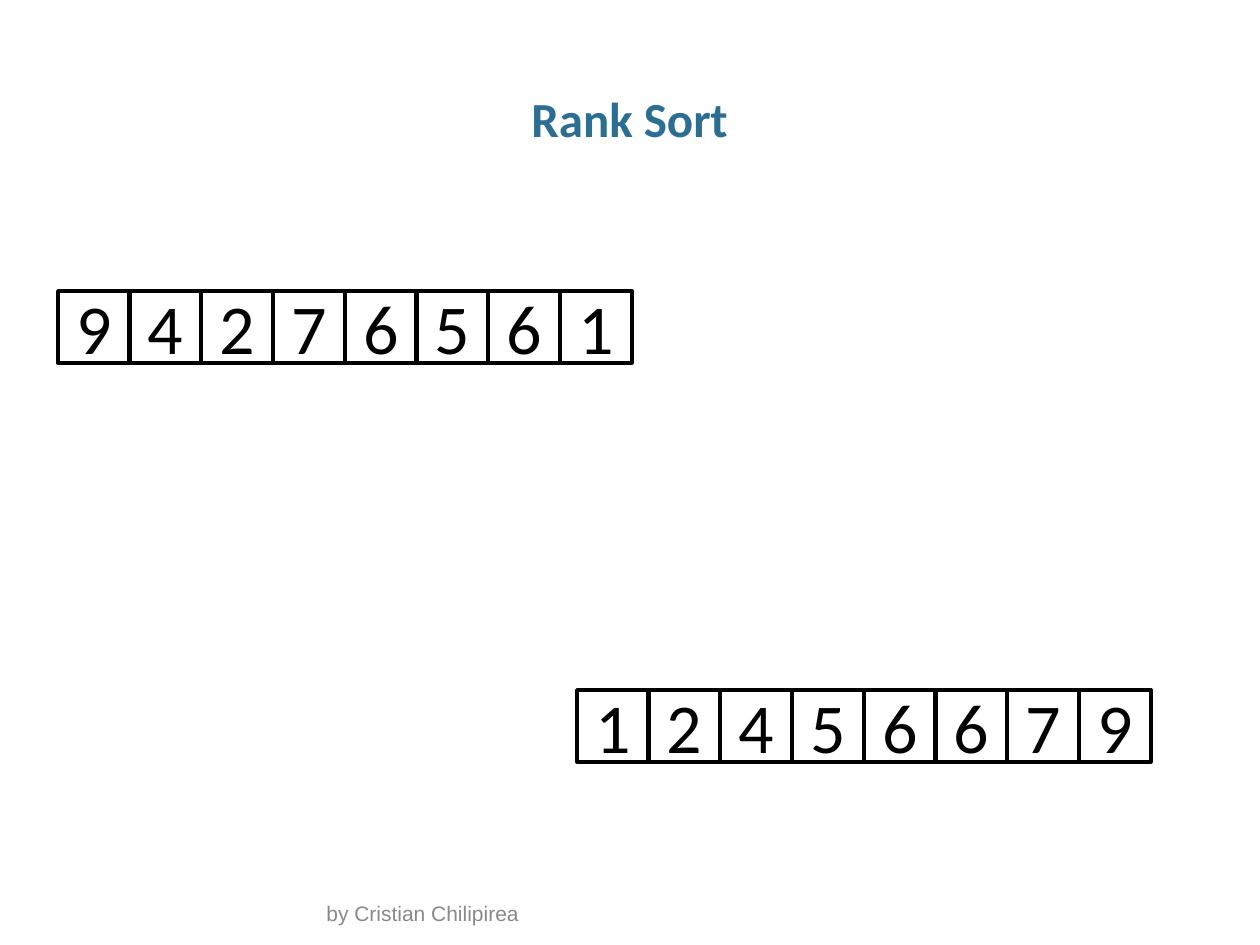
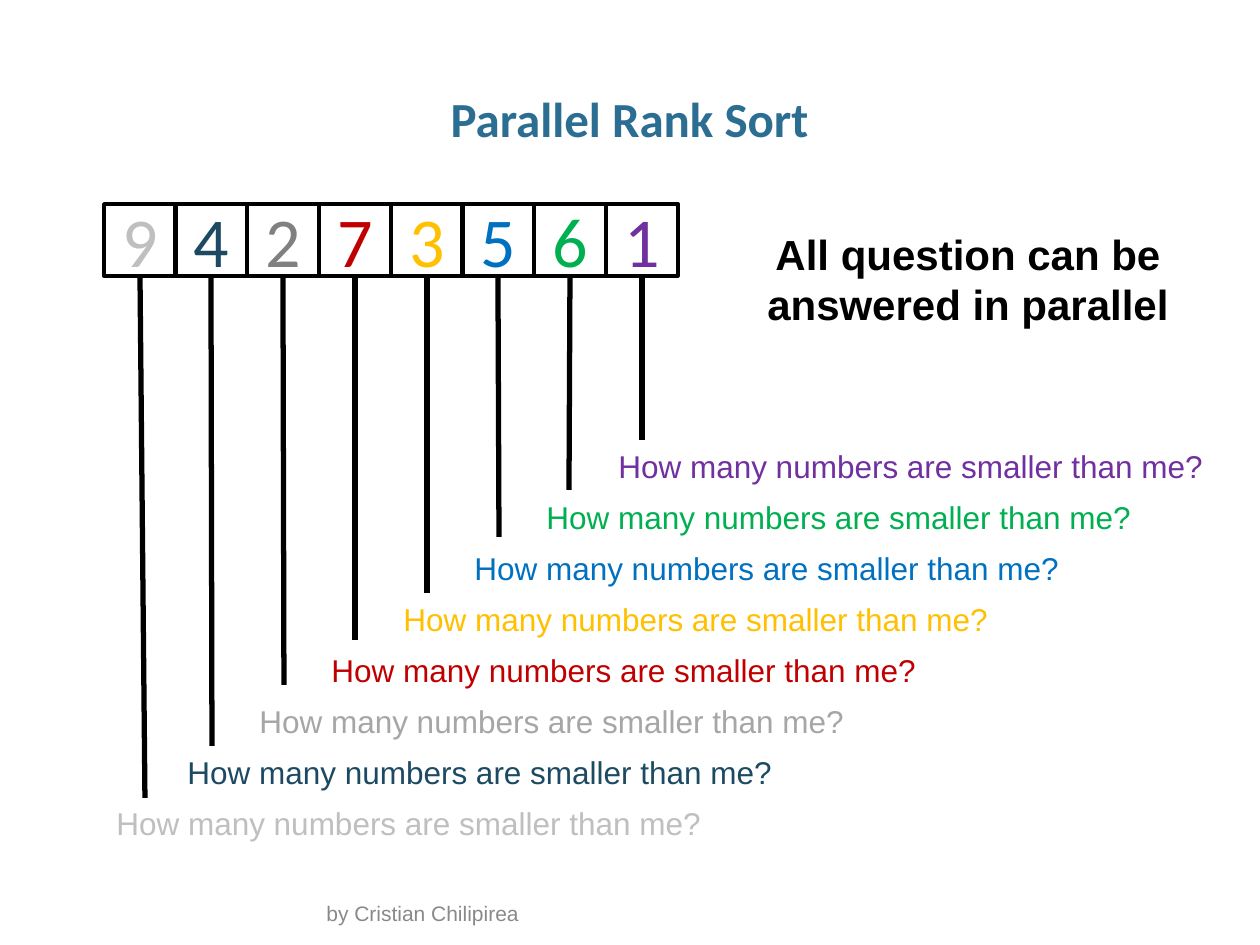
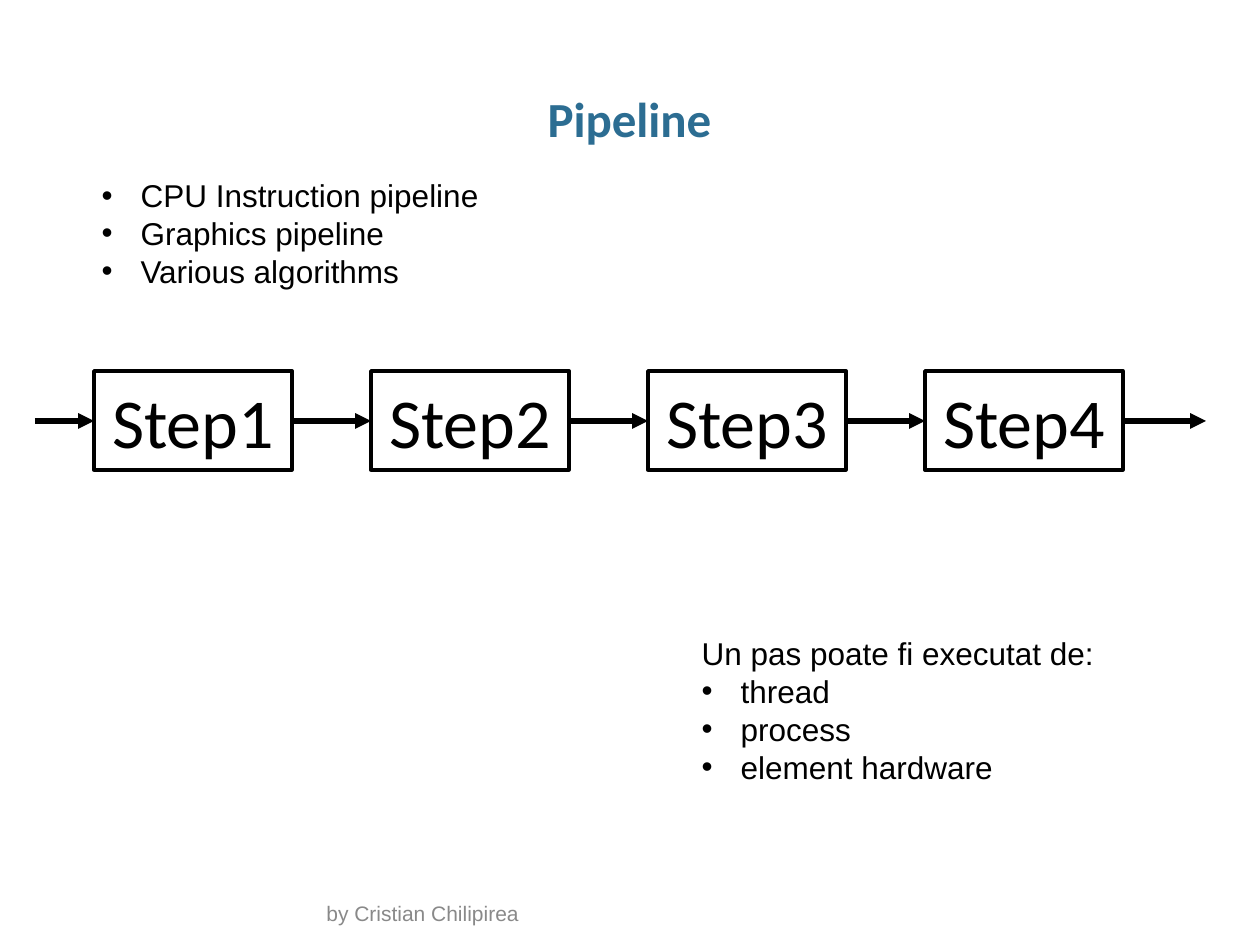
from lxml.etree import SubElement
from pptx import Presentation
from pptx.dml.color import RGBColor
from pptx.enum.shapes import MSO_CONNECTOR, MSO_SHAPE
from pptx.enum.text import MSO_ANCHOR, MSO_AUTO_SIZE, PP_ALIGN
from pptx.oxml.ns import qn
from pptx.util import Pt

PIXEL = 914400 // 126
BLACK = "000000"
TITLE_BLUE = "2C6D92"
FOOTER_GRAY = "898989"
ROW_WIDTH = 574
CELL_COUNT = 8
CELL_SIZE = 72


def write(frame, lines, size, color, font="Arial", bold=False, align=PP_ALIGN.LEFT):
    frame.text = "\n".join(lines)
    for para in frame.paragraphs:
        para.alignment = align
        para.space_before = Pt(0)
        para.font.name = font
        para.font.size = Pt(size)
        para.font.bold = bold
        para.font.color.rgb = RGBColor.from_string(color)


def draw_line(page, x1, y1, x2, y2, arrow=False):
    line = page.shapes.add_connector(
        MSO_CONNECTOR.STRAIGHT, x1 * PIXEL, y1 * PIXEL, x2 * PIXEL, y2 * PIXEL)
    line.line.color.rgb = RGBColor.from_string(BLACK)
    line.line.width = Pt(3)
    properties = line._element.spPr
    if arrow:
        SubElement(properties.find(qn("a:ln")), qn("a:tailEnd"), type="triangle")
    SubElement(properties, qn("a:effectLst"))


deck = Presentation()
deck.slide_width = 1260 * PIXEL
deck.slide_height = 945 * PIXEL
title_only = deck.slide_layouts[5]
two_lists = deck.slide_layouts[3]

pages = []
for heading, layout in [
    ("Rank Sort", title_only),
    ("Parallel Rank Sort", title_only),
    ("Pipeline", two_lists),
]:
    page = deck.slides.add_slide(layout)
    pages.append(page)
    footer = page.shapes.add_textbox(314 * PIXEL, 902 * PIXEL, 632 * PIXEL, 30 * PIXEL)
    footer.text_frame.word_wrap = True
    footer.text_frame.vertical_anchor = MSO_ANCHOR.BOTTOM
    write(footer.text_frame, ["by Cristian Chilipirea"], 12, FOOTER_GRAY)

    title = page.shapes.title
    title.left, title.top = 43 * PIXEL, 86 * PIXEL
    title.width, title.height = 1173 * PIXEL, 63 * PIXEL
    frame = title.text_frame
    frame.margin_left = frame.margin_right = 0
    frame.vertical_anchor = MSO_ANCHOR.TOP
    frame.auto_size = MSO_AUTO_SIZE.NONE
    write(frame, [heading], 28, TITLE_BLUE, "Calibri", True, PP_ALIGN.CENTER)
    frame.paragraphs[0].line_spacing = 0.95
rank_page, parallel_page, pipeline_page = pages

digit_colors = ["BFBFBF", "1D4A63", "808080", "C00000",
                "FFC000", "0070C0", "00B050", "7030A0"]
question_colors = digit_colors[:2] + ["A6A6A6"] + digit_colors[3:]

boxes = []
for page, digits, left, top, colors in [
    (rank_page, "94276561", 58, 291, [BLACK] * CELL_COUNT),
    (rank_page, "12456679", 577, 690, [BLACK] * CELL_COUNT),
    (parallel_page, "94273561", 104, 204, digit_colors),
]:
    for index, (digit, color) in enumerate(zip(digits, colors)):
        cell_left = left + ROW_WIDTH * index // CELL_COUNT
        boxes.append((page, digit, cell_left, top, CELL_SIZE, CELL_SIZE, color))

step_lefts = [94 + 277 * index for index in range(4)]
for number, left in enumerate(step_lefts, 1):
    boxes.append((pipeline_page, f"Step{number}", left, 371, 198, 99, BLACK))

for page, label, left, top, width, height, color in boxes:
    box = page.shapes.add_shape(
        MSO_SHAPE.RECTANGLE, left * PIXEL, top * PIXEL, width * PIXEL, height * PIXEL)
    box.shadow.inherit = False
    box.fill.background()
    box.line.color.rgb = RGBColor.from_string(BLACK)
    box.line.width = Pt(2)
    box.text_frame.vertical_anchor = MSO_ANCHOR.MIDDLE
    write(box.text_frame, [label], 40, color, "Calibri", align=PP_ALIGN.CENTER)

line_ends = [(145, 798), (212, 746), (284, 685), (355, 640),
             (427, 593), (499, 537), (569, 490), (642, 440)]
for index, (color, (end_x, end_y)) in enumerate(zip(question_colors, line_ends)):
    left = 104 + ROW_WIDTH * index // CELL_COUNT
    question = parallel_page.shapes.add_textbox(
        left * PIXEL, (798 - 51 * index) * PIXEL, 616 * PIXEL, 50 * PIXEL)
    question.text_frame.word_wrap = False
    question.text_frame.auto_size = MSO_AUTO_SIZE.SHAPE_TO_FIT_TEXT
    write(question.text_frame, ["How many numbers are smaller than me?"], 18, color)
    draw_line(parallel_page, left + CELL_SIZE // 2, 276, end_x, end_y)

remark = parallel_page.shapes.add_textbox(
    737 * PIXEL, 222 * PIXEL, 462 * PIXEL, 115 * PIXEL)
remark.text_frame.word_wrap = True
write(remark.text_frame, ["All question can be answered in parallel"], 24, BLACK,
      bold=True, align=PP_ALIGN.CENTER)

arrow_starts = [35] + [left + 198 for left in step_lefts]
arrow_ends = step_lefts + [1206]
for start, end in zip(arrow_starts, arrow_ends):
    draw_line(pipeline_page, start, 421, end, 421, arrow=True)

uses = ["CPU Instruction pipeline", "Graphics pipeline", "Various algorithms"]
executors = ["Un pas poate fi executat de:", "thread", "process", "element hardware"]
for slot, lines, left, top, width, height in [
    (1, uses, 89, 170, 406, 127),
    (2, executors, 689, 628, 421, 165),
]:
    body = pipeline_page.placeholders[slot]
    body.left, body.top = left * PIXEL, top * PIXEL
    body.width, body.height = width * PIXEL, height * PIXEL
    body.text_frame.word_wrap = False
    body.text_frame.auto_size = MSO_AUTO_SIZE.SHAPE_TO_FIT_TEXT
    write(body.text_frame, lines, 18, BLACK)
    for para in body.text_frame.paragraphs:
        properties = para._p.get_or_add_pPr()
        bulleted = not para.text.endswith(":")
        indent = 39 * PIXEL if bulleted else 0
        properties.set("marL", str(indent))
        properties.set("indent", str(-indent))
        if not bulleted:
            properties.insert_element_before(
                properties.makeelement(qn("a:buNone")), "a:tabLst", "a:defRPr", "a:extLst")

deck.save("out.pptx")
